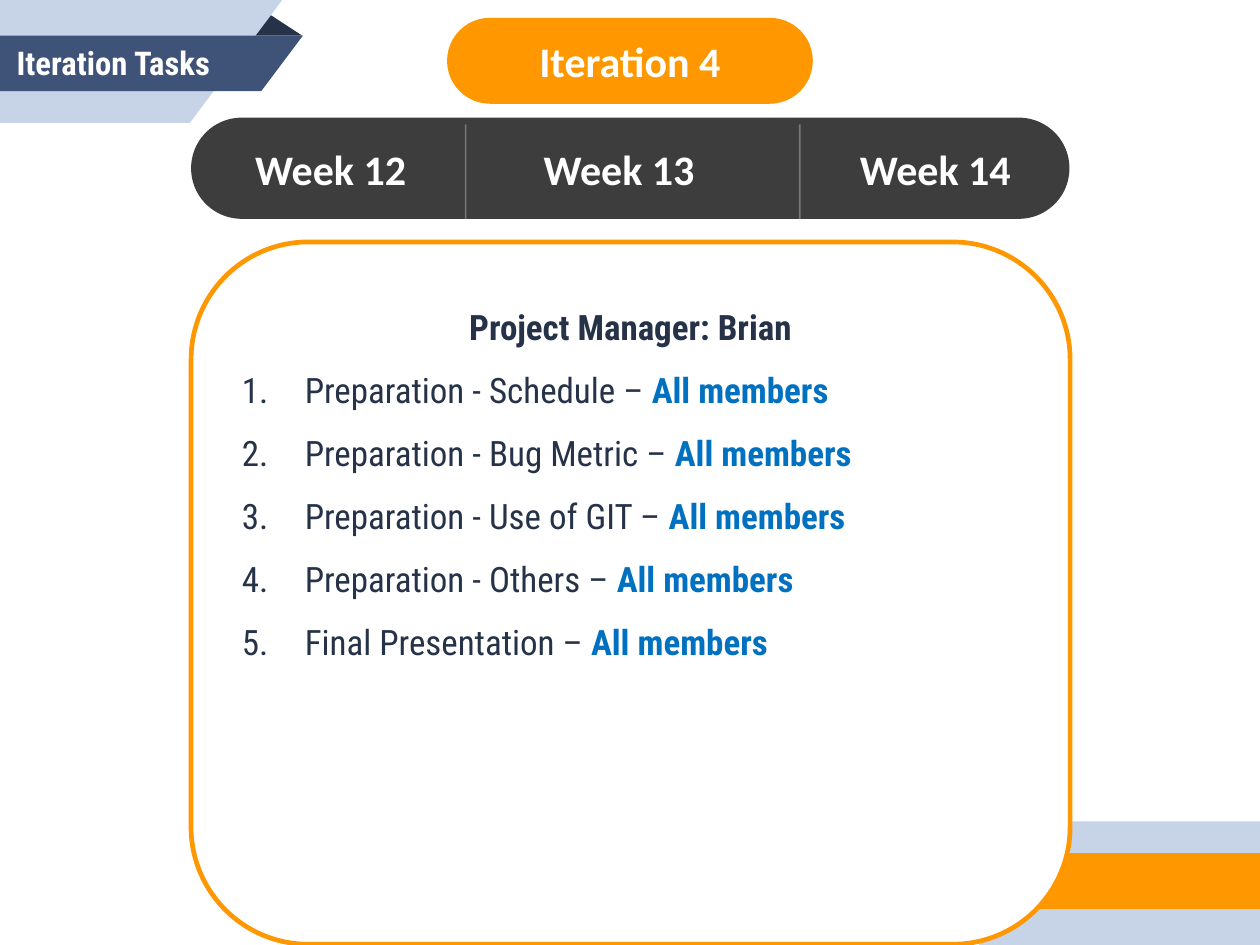
from lxml import etree
from pptx import Presentation
from pptx import util as u
from pptx.dml import color
from pptx.enum import shapes, text
from pptx.oxml import ns

NAVY, SLATE, MIST = "263248", "3F5378", "C7D3E6"
ORANGE, CHARCOAL, BLUE, WHITE = "FF9800", "3D3D3D", "0070C0", "FFFFFF"
HEADING_FONT, BODY_FONT = "Calibri", "Roboto Condensed"
WIDTH, HEIGHT = 19.05, 14.29
TASKS = [
    "Preparation - Schedule",
    "Preparation - Bug Metric",
    "Preparation - Use of GIT",
    "Preparation - Others",
    "Final Presentation",
]


def rgb(hex_string):
    return color.RGBColor.from_string(hex_string)


def child(parent, tag, **attributes):
    return etree.SubElement(parent, ns.qn(tag), **attributes)


def paint(shape, fill, outline=None):
    shape.shadow.inherit = False
    shape.fill.solid()
    shape.fill.fore_color.rgb = rgb(fill)
    if outline:
        shape.line.color.rgb = rgb(outline)
        shape.line.width = u.Pt(2)
    else:
        shape.line.fill.background()


def style(run, font, size, ink, bold=True):
    run.font.name = font
    run.font.size = u.Pt(size)
    run.font.color.rgb = rgb(ink)
    run.font.bold = bold


def set_frame(frame, inset_x, inset_y, anchor):
    frame.word_wrap = True
    frame.auto_size = text.MSO_AUTO_SIZE.NONE
    frame.margin_left = frame.margin_right = u.Cm(inset_x)
    frame.margin_top = frame.margin_bottom = u.Cm(inset_y)
    frame.vertical_anchor = anchor


def write_line(frame, words, font, size, ink, align):
    frame.text = words
    line = frame.paragraphs[0]
    line.alignment = align
    style(line.runs[0], font, size, ink)


def add_polygon(slide, fill, *points):
    corners = [(u.Cm(x), u.Cm(y)) for x, y in points]
    outline = slide.shapes.build_freeform(*corners[0])
    outline.add_line_segments(corners[1:], close=True)
    paint(outline.convert_to_shape(), fill)


def add_rounded(slide, box, corner, fill, outline=None):
    rounded = slide.shapes.add_shape(
        shapes.MSO_SHAPE.ROUNDED_RECTANGLE, *map(u.Cm, box))
    rounded.adjustments[0] = corner
    paint(rounded, fill, outline)
    return rounded


def add_ribbons(slide):
    add_polygon(slide, NAVY, (3.76, 0.54), (4.02, 0.18), (4.57, 0.54))
    add_polygon(slide, MIST, (0, 0), (4.27, 0), (2.87, 1.86), (0, 1.86))
    add_polygon(slide, SLATE, (0, 0.54), (4.58, 0.54), (3.95, 1.38), (0, 1.38))
    add_polygon(slide, MIST, (14.8, HEIGHT), (16.2, 12.42),
                (WIDTH, 12.42), (WIDTH, HEIGHT))
    add_polygon(slide, ORANGE, (15.09, 12.9), (WIDTH, 12.9),
                (WIDTH, 13.75), (15.09, 13.75))


def place_title(slide):
    title = slide.shapes.title
    title.left, title.top, title.width, title.height = map(
        u.Cm, (0, 0.3, 4.57, 1.3))
    set_frame(title.text_frame, 0.25, 0.25, text.MSO_ANCHOR.MIDDLE)
    write_line(title.text_frame, "Iteration Tasks", BODY_FONT, 14, WHITE,
               text.PP_ALIGN.LEFT)
    title.element.getparent().append(title.element)


def add_week(slide, left, label):
    week = slide.shapes.add_textbox(*map(u.Cm, (left, 1.88, 2.69, 1.35)))
    set_frame(week.text_frame, 0, 0, text.MSO_ANCHOR.MIDDLE)
    write_line(week.text_frame, label, HEADING_FONT, 18, WHITE,
               text.PP_ALIGN.LEFT)


def add_divider(slide, x):
    divider = slide.shapes.add_connector(
        shapes.MSO_CONNECTOR.STRAIGHT, *map(u.Cm, (x, 1.88, x, 3.34)))
    divider.line.color.rgb = rgb(WHITE)
    divider.line.width = u.Pt(0.75)
    ink = divider.line.fill.fore_color and divider.element.spPr.find(
        ".//" + ns.qn("a:srgbClr"))
    child(ink, "a:alpha", val="30000")
    child(divider.element.spPr, "a:effectLst")


def add_task(frame, task):
    item = frame.add_paragraph()
    item.text = f"{task} – "
    style(item.runs[0], BODY_FONT, 15, NAVY, bold=False)
    owner = item.add_run()
    owner.text = "All members"
    style(owner, BODY_FONT, 15, BLUE)
    item.alignment = text.PP_ALIGN.LEFT
    item.line_spacing = 1.5
    numbering = item._p.get_or_add_pPr()
    numbering.set("marL", str(u.Cm(0.95)))
    numbering.set("indent", str(-u.Cm(0.95)))
    child(child(numbering, "a:buClr"), "a:srgbClr", val=NAVY)
    child(numbering, "a:buFont", typeface=BODY_FONT)
    child(numbering, "a:buAutoNum", type="arabicPeriod")


def add_task_card(slide):
    card = add_rounded(slide, (2.89, 3.66, 13.29, 10.62), 0.167, WHITE, ORANGE)
    frame = card.text_frame
    set_frame(frame, 0.25, 0.13, text.MSO_ANCHOR.TOP)
    write_line(frame, "Project Manager: Brian", BODY_FONT, 15, NAVY,
               text.PP_ALIGN.CENTER)
    frame.paragraphs[0].line_spacing = 1.5
    for task in TASKS:
        add_task(frame, task)


def add_iteration(slide):
    iteration = add_rounded(slide, (6.76, 0.27, 5.53, 1.3), 0.5, ORANGE)
    set_frame(iteration.text_frame, 0.25, 0.13, text.MSO_ANCHOR.MIDDLE)
    write_line(iteration.text_frame, "Iteration 4", HEADING_FONT, 18, WHITE,
               text.PP_ALIGN.CENTER)


def main():
    deck = Presentation()
    deck.slide_width, deck.slide_height = u.Cm(WIDTH), u.Cm(HEIGHT)
    slide = deck.slides.add_slide(deck.slide_layouts[5])
    add_ribbons(slide)
    add_rounded(slide, (2.89, 1.78, 13.28, 1.53), 0.5, CHARCOAL)
    place_title(slide)
    add_task_card(slide)
    add_iteration(slide)
    for x in (7.04, 12.09):
        add_divider(slide, x)
    for number, left in enumerate((3.86, 8.22, 13.0), start=12):
        add_week(slide, left, f"Week {number}")
    deck.save("out.pptx")


if __name__ == "__main__":
    main()
